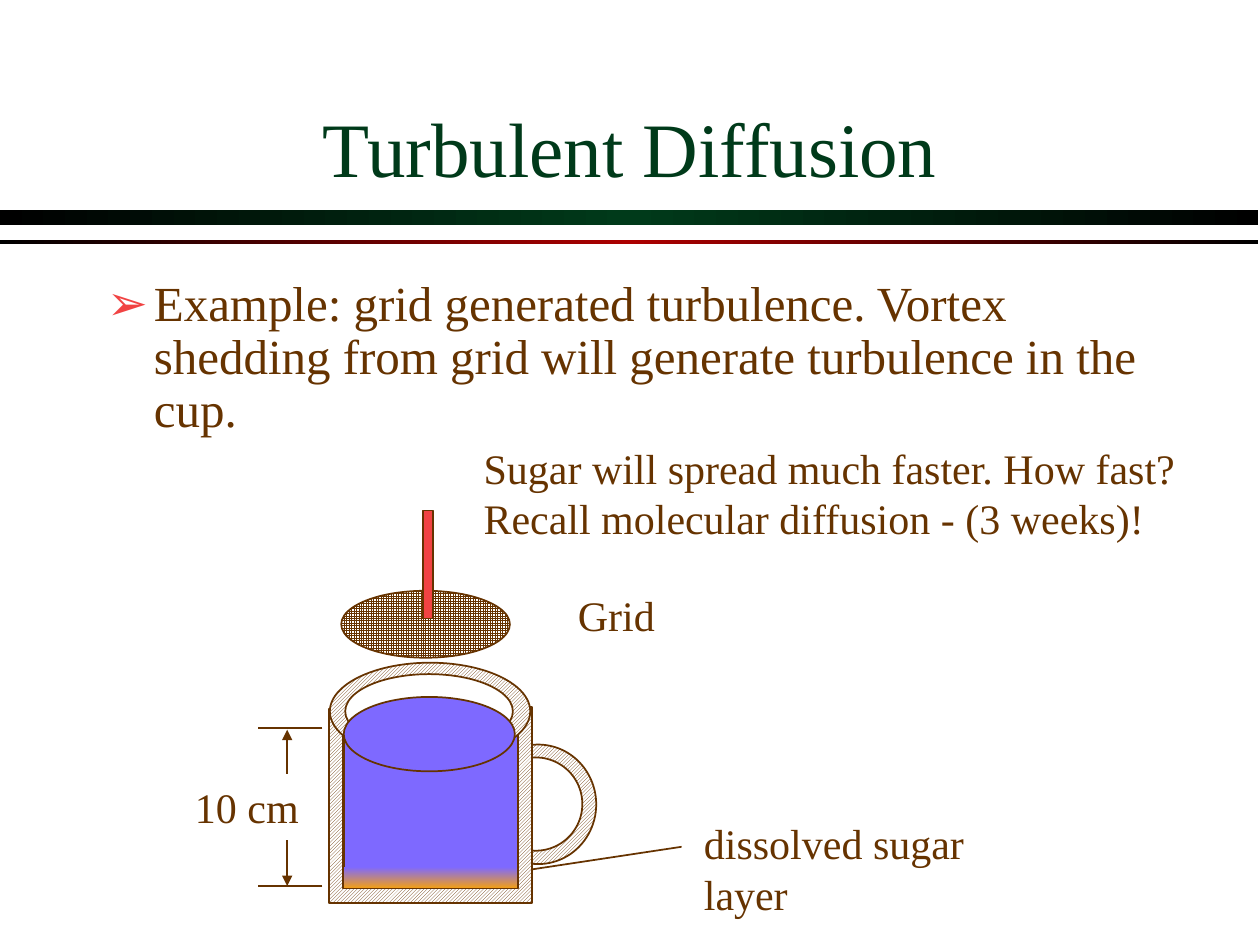
from lxml import etree
from pptx import Presentation
from pptx.dml.color import RGBColor
from pptx.enum.dml import MSO_PATTERN
from pptx.enum.shapes import MSO_CONNECTOR, MSO_SHAPE
from pptx.enum.text import MSO_ANCHOR, MSO_AUTO_SIZE, PP_ALIGN
from pptx.oxml.ns import qn
from pptx.util import Cm, Pt

RECT, OVAL = MSO_SHAPE.RECTANGLE, MSO_SHAPE.OVAL
STRAIGHT = MSO_CONNECTOR.STRAIGHT
HATCH, MESH = MSO_PATTERN.LIGHT_UPWARD_DIAGONAL, MSO_PATTERN.SMALL_GRID
BOTTOM, TOP = MSO_ANCHOR.BOTTOM, MSO_ANCHOR.TOP
LEFT, CENTER = PP_ALIGN.LEFT, PP_ALIGN.CENTER
NO_FIT = MSO_AUTO_SIZE.NONE
FONT = "Times New Roman"
COLORS = {
    "black": "000000", "white": "FFFFFF", "green": "003A1A", "dark_red": "AC0000",
    "brown": "663300", "red": "F14343", "water": "7E69FF", "sugar": "FBA305",
}


def rgb(name):
    return RGBColor.from_string(COLORS[name])


def place(sp, box):
    sp.left, sp.top, sp.width, sp.height = (Cm(v) for v in box)


def paint(sp, fill, line="brown", pattern=None):
    sp.shadow.inherit = False
    if pattern is None:
        sp.fill.solid()
        sp.fill.fore_color.rgb = rgb(fill)
    else:
        sp.fill.patterned()
        sp.fill.pattern = pattern
        sp.fill.fore_color.rgb = rgb(fill)
        sp.fill.back_color.rgb = rgb("white")
    sp.line.color.rgb = rgb(line)
    sp.line.width = Pt(1)


def add_shape(slide, kind, box, fill, line="brown", pattern=None):
    sp = slide.shapes.add_shape(kind, *(Cm(v) for v in box))
    paint(sp, fill, line, pattern)
    return sp


def add_gradient(slide, box, names, angle=0):
    sp = slide.shapes.add_shape(RECT, *(Cm(v) for v in box))
    sp.shadow.inherit = False
    sp.line.fill.background()
    sp.fill.gradient()
    sp.fill.gradient_angle = angle
    stops = sp._element.spPr.find(qn("a:gradFill")).find(qn("a:gsLst"))
    for gs in list(stops):
        stops.remove(gs)
    for i, name in enumerate(names):
        pos = str(100000 * i // (len(names) - 1))
        gs = etree.SubElement(stops, qn("a:gs"), pos=pos)
        etree.SubElement(gs, qn("a:srgbClr"), val=COLORS[name])


def add_line(slide, start, end, ends=()):
    ln = slide.shapes.add_connector(STRAIGHT, *(Cm(v) for v in start + end))
    ln.line.color.rgb = rgb("brown")
    ln.line.width = Pt(1)
    for tag in ends:
        etree.SubElement(ln.line._get_or_add_ln(), qn(tag), type="triangle")
    etree.SubElement(ln._element.spPr, qn("a:effectLst"))


def write(tf, text, size=24, color="brown", align=LEFT, anchor=TOP, wrap=False):
    tf.text = text
    tf.auto_size = NO_FIT
    tf.word_wrap = wrap
    tf.vertical_anchor = anchor
    for p in tf.paragraphs:
        p.alignment = align
        for r in p.runs:
            r.font.size = Pt(size)
            r.font.name = FONT
            r.font.color.rgb = rgb(color)


def add_text(slide, box, text, wrap=False):
    tb = slide.shapes.add_textbox(*(Cm(v) for v in box))
    write(tb.text_frame, text, wrap=wrap)


def fill_title(slide):
    sp = slide.shapes.title
    place(sp, (1.9, 0.84, 21.6, 3.18))
    write(sp.text_frame, "Turbulent Diffusion", 44, "green", CENTER, BOTTOM, True)
    r = sp.text_frame.paragraphs[0].runs[0]
    effects = etree.Element(qn("a:effectLst"))
    shadow = etree.SubElement(effects, qn("a:outerShdw"), dist="35921", dir="2700000")
    etree.SubElement(shadow, qn("a:srgbClr"), val=COLORS["black"])
    r.font._element.find(qn("a:solidFill")).addnext(effects)


def fill_body(slide):
    sp = slide.placeholders[1]
    place(sp, (1.9, 5.51, 21.69, 2.92))
    write(sp.text_frame, "Example: grid generated turbulence. Vortex shedding from "
          "grid will generate turbulence in the cup.", 28, wrap=True)
    p = sp.text_frame.paragraphs[0]
    pPr = p._p.get_or_add_pPr()
    pPr.set("marL", str(Cm(0.95)))
    pPr.set("indent", str(-Cm(0.95)))
    color = etree.SubElement(pPr, qn("a:buClr"))
    etree.SubElement(color, qn("a:srgbClr"), val=COLORS["red"])
    etree.SubElement(pPr, qn("a:buChar"), char="➢")
    p.line_spacing = 0.9
    p.space_before = Pt(0)


def add_cup_wall(slide):
    points = [(6.63, 14.3), (6.63, 18.21), (10.72, 18.21), (10.72, 14.25),
              (10.44, 14.25), (10.44, 17.91), (6.91, 17.91), (6.91, 14.3)]
    start, *rest = [(Cm(x), Cm(y)) for x, y in points]
    builder = slide.shapes.build_freeform(*start)
    builder.add_line_segments(rest, close=True)
    paint(builder.convert_to_shape(), "brown", pattern=HATCH)


def add_depth_mark(slide):
    for y in (14.68, 17.86):
        add_line(slide, (6.5, y), (5.21, y))
    add_line(slide, (5.79, 14.71), (5.79, 17.86), ("a:headEnd", "a:tailEnd"))
    sp = add_shape(slide, RECT, (3.68, 15.62, 2.62, 1.3), "white", "white")
    write(sp.text_frame, "10 cm")


def add_cup(slide):
    add_shape(slide, OVAL, (9.68, 15.01, 2.34, 2.41), "brown", pattern=HATCH)
    add_shape(slide, OVAL, (9.86, 15.27, 1.88, 1.88), "white")
    add_shape(slide, RECT, (6.93, 14.27, 3.51, 3.45), "water")
    add_line(slide, (13.74, 17.07), (10.03, 17.63), ("a:tailEnd",))
    add_gradient(slide, (6.91, 17.48, 3.53, 0.46), ("water", "sugar"), 270)
    add_cup_wall(slide)
    add_shape(slide, OVAL, (6.65, 13.36, 4.04, 1.96), "brown", pattern=HATCH)
    add_shape(slide, OVAL, (6.96, 13.59, 3.38, 1.5), "white")
    add_shape(slide, OVAL, (6.93, 14.05, 3.45, 1.5), "water")


def add_grid(slide):
    add_shape(slide, OVAL, (6.88, 11.91, 3.4, 1.35), "brown", pattern=MESH)
    add_shape(slide, RECT, (8.53, 10.29, 0.2, 2.18), "red")


def main():
    prs = Presentation()
    prs.slide_width, prs.slide_height = Cm(25.4), Cm(19.05)
    slide = prs.slides.add_slide(prs.slide_layouts[1])
    add_gradient(slide, (0, 4.24, 25.37, 0.3), ("black", "green", "black"))
    add_gradient(slide, (0, 4.83, 25.37, 0.1), ("black", "dark_red", "black"))
    fill_title(slide)
    fill_body(slide)
    add_text(slide, (9.5, 8.79, 14.48, 2.29), "Sugar will spread much faster. "
             "How fast?\nRecall molecular diffusion - (3 weeks)!")
    add_depth_mark(slide)
    add_grid(slide)
    add_cup(slide)
    add_text(slide, (11.4, 11.76, 2.06, 1.27), "Grid")
    add_text(slide, (13.94, 16.36, 7.5, 1.27), "dissolved sugar layer", True)
    prs.save("out.pptx")


if __name__ == "__main__":
    main()
